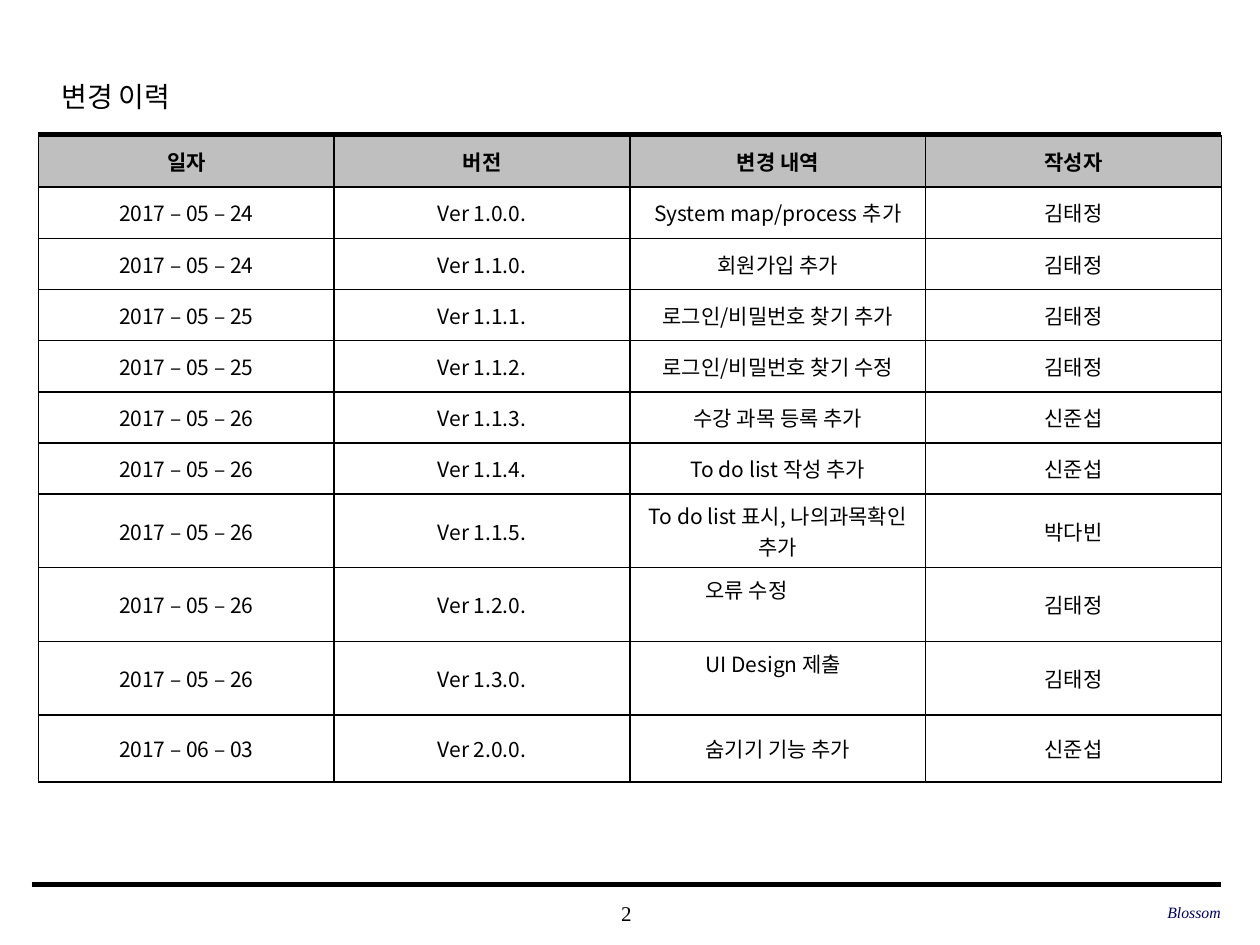
from lxml import etree
from pptx import Presentation
from pptx.dml.color import RGBColor
from pptx.enum import shapes, text
from pptx.oxml import ns
from pptx.util import Pt

# Content
TITLE, PAGE, TEAM = "변경 이력", "2", "Blossom"
HEAD = ("일자", "버전", "변경 내역", "작성자")
ROWS = [
    ("2017 – 05 – 24", "Ver 1.0.0.", "System map/process 추가", "김태정"),
    ("2017 – 05 – 24", "Ver 1.1.0.", "회원가입 추가", "김태정"),
    ("2017 – 05 – 25", "Ver 1.1.1.", "로그인/비밀번호 찾기 추가", "김태정"),
    ("2017 – 05 – 25", "Ver 1.1.2.", "로그인/비밀번호 찾기 수정", "김태정"),
    ("2017 – 05 – 26", "Ver 1.1.3.", "수강 과목 등록 추가", "신준섭"),
    ("2017 – 05 – 26", "Ver 1.1.4.", "To do list 작성 추가", "신준섭"),
    ("2017 – 05 – 26", "Ver 1.1.5.", "To do list 표시, 나의과목확인 추가", "박다빈"),
    ("2017 – 05 – 26", "Ver 1.2.0.", "오류 수정", "김태정"),
    ("2017 – 05 – 26", "Ver 1.3.0.", "UI Design 제출", "김태정"),
    ("2017 – 06 – 03", "Ver 2.0.0.", "숨기기 기능 추가", "신준섭"),
]
HIGH = [29.25] * 7 + [42.1] * 3 + [38.2]
WIDE = 169
NOTE = 2           # column of change notes
INDENT = (8, 9, 10)  # rows with an indented note
RAISED = (8, 9)      # rows with the note at the top

BLACK = RGBColor(0, 0, 0)
WHITE = RGBColor(255, 255, 255)
GREY = RGBColor(0xBF, 0xBF, 0xBF)
NAVY = RGBColor(0, 0, 0x66)
SERIF, SANS = "Times New Roman", "Noto Sans CJK KR"
ALIGN, ANCHOR = text.PP_ALIGN, text.MSO_ANCHOR


def style(para, size, face, color=BLACK, bold=False, italic=False):
    for run in para.runs:
        font = run.font
        font.size, font.name = Pt(size), face
        font.bold, font.italic = bold, italic
        font.color.rgb = color
        east = etree.Element(ns.qn("a:ea"), typeface=SANS)
        run._r.get_or_add_rPr().find(ns.qn("a:latin")).addnext(east)


def label(slide, box, words, align, inset, size, **look):
    frame = slide.shapes.add_textbox(*map(Pt, box)).text_frame
    frame.word_wrap = True
    frame.vertical_anchor = ANCHOR.MIDDLE
    if not inset:
        frame.margin_left = frame.margin_right = 0
        frame.margin_top = frame.margin_bottom = 0
    frame.text = words
    para = frame.paragraphs[0]
    para.alignment = align
    style(para, size, SERIF, **look)
    return para


def rule(slide, left, right, y, width):
    line = slide.shapes.add_connector(
        shapes.MSO_CONNECTOR.STRAIGHT, Pt(left), Pt(y), Pt(right), Pt(y))
    line.line.color.rgb = BLACK
    line.line.width = Pt(width)
    etree.SubElement(line._element.spPr, ns.qn("a:effectLst"))


def border(cell):
    props = cell._tc.get_or_add_tcPr()
    for i, side in enumerate(("lnL", "lnR", "lnT", "lnB")):
        edge = etree.Element(ns.qn("a:" + side), w=str(Pt(1)))
        fill = etree.SubElement(edge, ns.qn("a:solidFill"))
        etree.SubElement(fill, ns.qn("a:srgbClr"), val=str(BLACK))
        props.insert(i, edge)


def grid(slide):
    rows = [HEAD] + ROWS
    table = slide.shapes.add_table(
        len(rows), len(HEAD), Pt(22), Pt(77.75),
        Pt(WIDE * len(HEAD)), Pt(sum(HIGH))).table
    for col in table.columns:
        col.width = Pt(WIDE)
    for r, row in enumerate(rows):
        table.rows[r].height = Pt(HIGH[r])
        for c, words in enumerate(row):
            cell = table.cell(r, c)
            cell.fill.solid()
            cell.fill.fore_color.rgb = WHITE if r else GREY
            border(cell)
            cell.vertical_anchor = ANCHOR.MIDDLE
            cell.text_frame.text = words
            para = cell.text_frame.paragraphs[0]
            para.alignment = ALIGN.CENTER
            if c == NOTE and r in INDENT:
                para.alignment = ALIGN.LEFT
                para.level = 1
                props = para._p.get_or_add_pPr()
                props.set("marL", str(Pt(36)))
                props.set("indent", "0")
                if r in RAISED:
                    cell.vertical_anchor = ANCHOR.TOP
            style(para, 12, SANS, bold=r == 0)


def main():
    deck = Presentation()
    deck.slide_width, deck.slide_height = Pt(720), Pt(540)
    slide = deck.slides.add_slide(deck.slide_layouts[6])

    # Page frame
    label(slide, (283, 509.75, 150, 24), PAGE, ALIGN.CENTER, False, 12)
    rule(slide, 22, 698, 76.5, 2.5)
    rule(slide, 18, 698, 505.5, 3)

    # Heading, history table and team name
    head = label(slide, (28, 35.25, 544, 36), TITLE, ALIGN.LEFT, True, 16)
    head.line_spacing = 1.2
    grid(slide)
    label(slide, (477.5, 509, 220, 24), TEAM, ALIGN.RIGHT, False, 9,
          color=NAVY, italic=True)
    deck.save("out.pptx")


if __name__ == "__main__":
    main()
